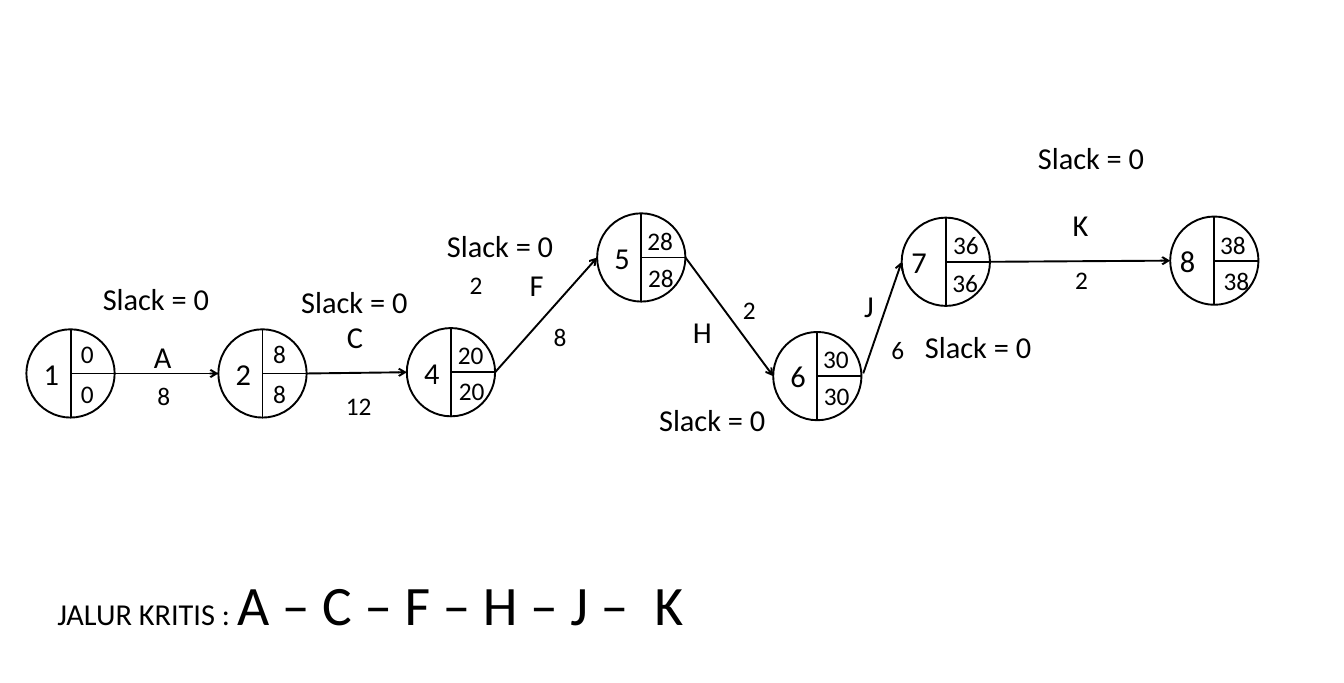
from pptx import Presentation
from pptx.dml.color import RGBColor
from pptx.enum.shapes import MSO_CONNECTOR, MSO_SHAPE
from pptx.enum.text import MSO_AUTO_SIZE
from pptx.oxml.ns import qn
from pptx.util import Pt
from lxml.etree import SubElement

COLORS = {"ink": "000000"}
RAD = 34.9  # node radius

# Nodes: centre, left edge and width of the number box,
# then offsets and text of the upper and lower times
NODES = {
    "1": (55.8, 295.3, -28.4, 22.3, (1.1, -31.8, "0"), (1.1, 0, "0")),
    "2": (207.6, 295.3, -28.4, 22.3, (1.2, -31.8, "8"), (1.2, 0, "8")),
    "4": (356.6, 294.3, -28.4, 22.3, (-1.6, -29.3, "20"), (-0.9, -1.3, "20")),
    "5": (507.1, 203.6, -28.4, 22.3, (-2.4, -29.4, "28"), (-1.7, 0, "28")),
    "6": (646.3, 297.4, -28.4, 22.3, (-2.6, -29.6, "30"), (-1.9, 0, "30")),
    "7": (747.9, 207, -34.4, 40, (-1.3, -29.2, "36"), (-2, 1.1, "36")),
    "8": (960.2, 206.1, -34.4, 40, (-2.6, -28.3, "38"), (0.3, -0.2, "38")),
}

# Arrows: start node, end node, shift of the start point
ARROWS = [
    ("1", "2", 0, 0), ("2", "4", 0, 0), ("4", "5", 0, 0),
    ("5", "6", 0, 0), ("6", "7", 1.4, -2.2), ("7", "8", 0, 0),
]

TASKS = [
    ("A", 114.5, 263.5), ("C", 267.1, 247.7), ("F", 411.8, 206.6),
    ("H", 540.7, 244.1), ("J", 676.1, 223.2), ("K", 841, 159.1),
]
TIMES = [
    ("8", 117.4, 297.4), ("12", 266.4, 304.6), ("2", 364.3, 209.5),
    ("8", 430.6, 250.6), ("2", 580.3, 229), ("6", 697.7, 260.6),
    ("2", 843.1, 205.2),
]
SLACKS = [
    (74.2, 218.2), (231.1, 220.3), (346.3, 176.4),
    (514.1, 313.9), (724.3, 256.3), (813.6, 106.6),
]


class Board:
    font = "Calibri"
    big, small, huge = 24, 20, 44
    line = 1.5

    def __init__(self, slide):
        self.shapes = slide.shapes

    def ink(self, line):
        line.color.rgb = RGBColor.from_string(COLORS["ink"])
        line.width = Pt(self.line)

    def text(self, text, x, y, w, size=24, more=()):
        """Place text; more holds (text, size, spacing) for further runs."""
        box = self.shapes.add_textbox(Pt(x), Pt(y), Pt(w), Pt(size * 1.2 + 7.2))
        frame = box.text_frame
        frame.word_wrap = True
        frame.auto_size = MSO_AUTO_SIZE.SHAPE_TO_FIT_TEXT
        for part, points, gap in [(text, size, 0), *more]:
            run = frame.paragraphs[0].add_run()
            run.text = part
            run.font.name = self.font
            run.font.size = Pt(points)
            run.font.color.rgb = RGBColor.from_string(COLORS["ink"])
            if gap:
                run.font._element.set("spc", str(gap * 100))

    def link(self, x1, y1, x2, y2, arrow=False):
        link = self.shapes.add_connector(
            MSO_CONNECTOR.STRAIGHT, Pt(x1), Pt(y1), Pt(x2), Pt(y2))
        self.ink(link.line)
        if arrow:
            SubElement(link.line._get_or_add_ln(), qn("a:tailEnd"), type="arrow")
        SubElement(link._element.spPr, qn("a:effectLst"))

    def node(self, name, x, y, left, wide, early, late):
        ring = self.shapes.add_shape(
            MSO_SHAPE.OVAL, Pt(x - RAD), Pt(y - RAD), Pt(2 * RAD), Pt(2 * RAD))
        ring.shadow.inherit = False
        ring.fill.background()
        self.ink(ring.line)
        self.link(x, y - RAD, x, y + RAD)
        self.link(x + RAD, y, x, y)
        self.text(name, x + left, y - 18.2, wide, size=self.big)
        for dx, dy, time in (early, late):
            self.time(time, x + dx, y + dy)

    def time(self, time, x, y):
        wide = 22.3 if len(time) == 1 else 40
        self.text(time, x, y, wide, size=self.small)


def main():
    deck = Presentation()
    deck.slide_width, deck.slide_height = Pt(1062.72), Pt(540)
    board = Board(deck.slides.add_slide(deck.slide_layouts[6]))

    # Nodes and arrows
    for name, node in NODES.items():
        board.node(name, *node)
    for start, end, dx, dy in ARROWS:
        x1, y1 = NODES[start][:2]
        x2, y2 = NODES[end][:2]
        board.link(x1 + RAD + dx, y1 + dy, x2 - RAD, y2, arrow=True)

    # Labels of the tasks
    for task, x, y in TASKS:
        board.text(task, x, y, 22.3, size=board.big)
    for time, x, y in TIMES:
        board.time(time, x, y)
    for x, y in SLACKS:
        board.text("Slack = 0", x, y, 146.9, size=board.big)

    # Critical path, with a wider gap before the last task
    board.text("JALUR KRITIS : ", 38.2, 447.1, 602.6, size=board.big, more=[
        ("A – C – F – H – J –", board.huge, 0),
        (" ", board.huge, 10),
        ("K", board.huge, 0),
    ])

    deck.save("out.pptx")


if __name__ == "__main__":
    main()
